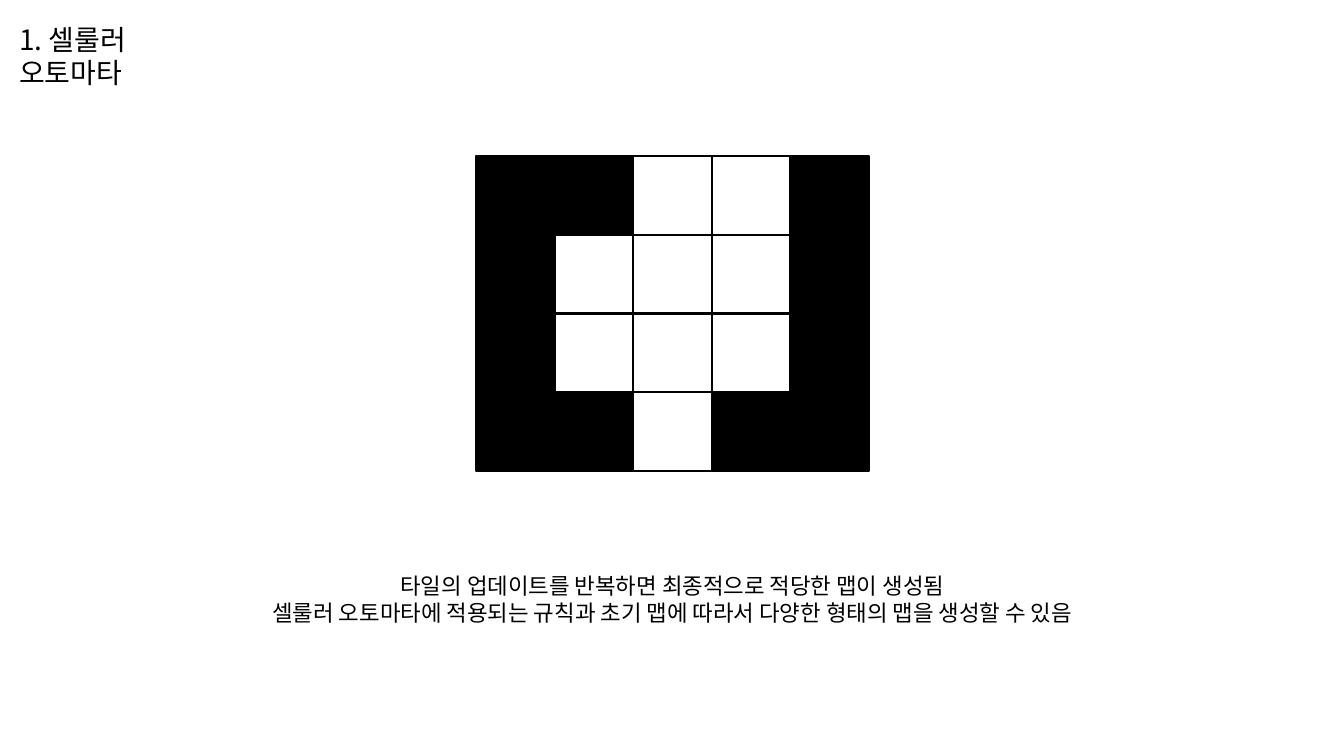
from dataclasses import dataclass

from lxml import etree
from pptx import Presentation
from pptx.dml.color import RGBColor
from pptx.enum.shapes import MSO_SHAPE
from pptx.enum.text import MSO_AUTO_SIZE, PP_ALIGN
from pptx.oxml.ns import qn
from pptx.slide import Slide
from pptx.util import Inches, Pt

RECTANGLE = MSO_SHAPE.RECTANGLE
GROW = MSO_AUTO_SIZE.SHAPE_TO_FIT_TEXT
LEFT = PP_ALIGN.LEFT
CENTER = PP_ALIGN.CENTER

BLACK = RGBColor(0, 0, 0)
WHITE = RGBColor(255, 255, 255)
FONT = "Noto Sans CJK KR"

MAP_LEFT, MAP_TOP, TILE_SIZE = Inches(4.72), Inches(1.55), Inches(0.78)
MAP_ROWS = (
    "##..#",
    "#...#",
    "#...#",
    "##.##",
)
TILE_FILLS = {"#": BLACK, ".": WHITE}


@dataclass(frozen=True)
class Tile:
    column: int
    row: int
    fill: RGBColor


@dataclass(frozen=True)
class Caption:
    left: float
    top: float
    width: float
    height: float
    lines: tuple[str, ...]
    size: int
    align: PP_ALIGN
    right_inset: float = 0.1


CAPTIONS = (
    Caption(0.09, 0.17, 2.42, 0.44, ("1. 셀룰러 오토마타",), 20, LEFT, 0.5),
    Caption(
        2.57, 5.63, 8.2, 0.64,
        (
            "타일의 업데이트를 반복하면 최종적으로 적당한 맵이 생성됨",
            "셀룰러 오토마타에 적용되는 규칙과 초기 맵에 따라서 다양한 형태의 맵을 생성할 수 있음",
        ),
        16, CENTER,
    ),
)


def draw_tile(slide: Slide, tile: Tile) -> None:
    square = slide.shapes.add_shape(
        RECTANGLE,
        MAP_LEFT + tile.column * TILE_SIZE,
        MAP_TOP + tile.row * TILE_SIZE,
        TILE_SIZE,
        TILE_SIZE,
    )
    square.shadow.inherit = False
    square.fill.solid()
    square.fill.fore_color.rgb = tile.fill
    square.line.color.rgb = BLACK
    square.line.width = Pt(1.5)


def draw_caption(slide: Slide, caption: Caption) -> None:
    box = slide.shapes.add_textbox(
        Inches(caption.left), Inches(caption.top),
        Inches(caption.width), Inches(caption.height),
    )
    frame = box.text_frame
    frame_format = {
        "word_wrap": True,
        "auto_size": GROW,
        "margin_right": Inches(caption.right_inset),
    }
    for attribute, value in frame_format.items():
        setattr(frame, attribute, value)
    frame.text = "\n".join(caption.lines)
    font_format = {"name": FONT, "size": Pt(caption.size)}
    for paragraph in frame.paragraphs:
        paragraph.alignment = caption.align
        for run in paragraph.runs:
            for attribute, value in font_format.items():
                setattr(run.font, attribute, value)
            run.font.color.rgb = BLACK
            east_asian = etree.SubElement(run.font._element, qn("a:ea"))
            east_asian.set("typeface", FONT)


def main() -> None:
    deck = Presentation()
    deck.slide_width, deck.slide_height = Inches(13.33), Inches(7.5)
    slide = deck.slides.add_slide(deck.slide_layouts[6])
    for caption in CAPTIONS:
        draw_caption(slide, caption)
    for row, cells in enumerate(MAP_ROWS):
        for column, cell in enumerate(cells):
            draw_tile(slide, Tile(column, row, TILE_FILLS[cell]))
    deck.save("out.pptx")


if __name__ == "__main__":
    main()
